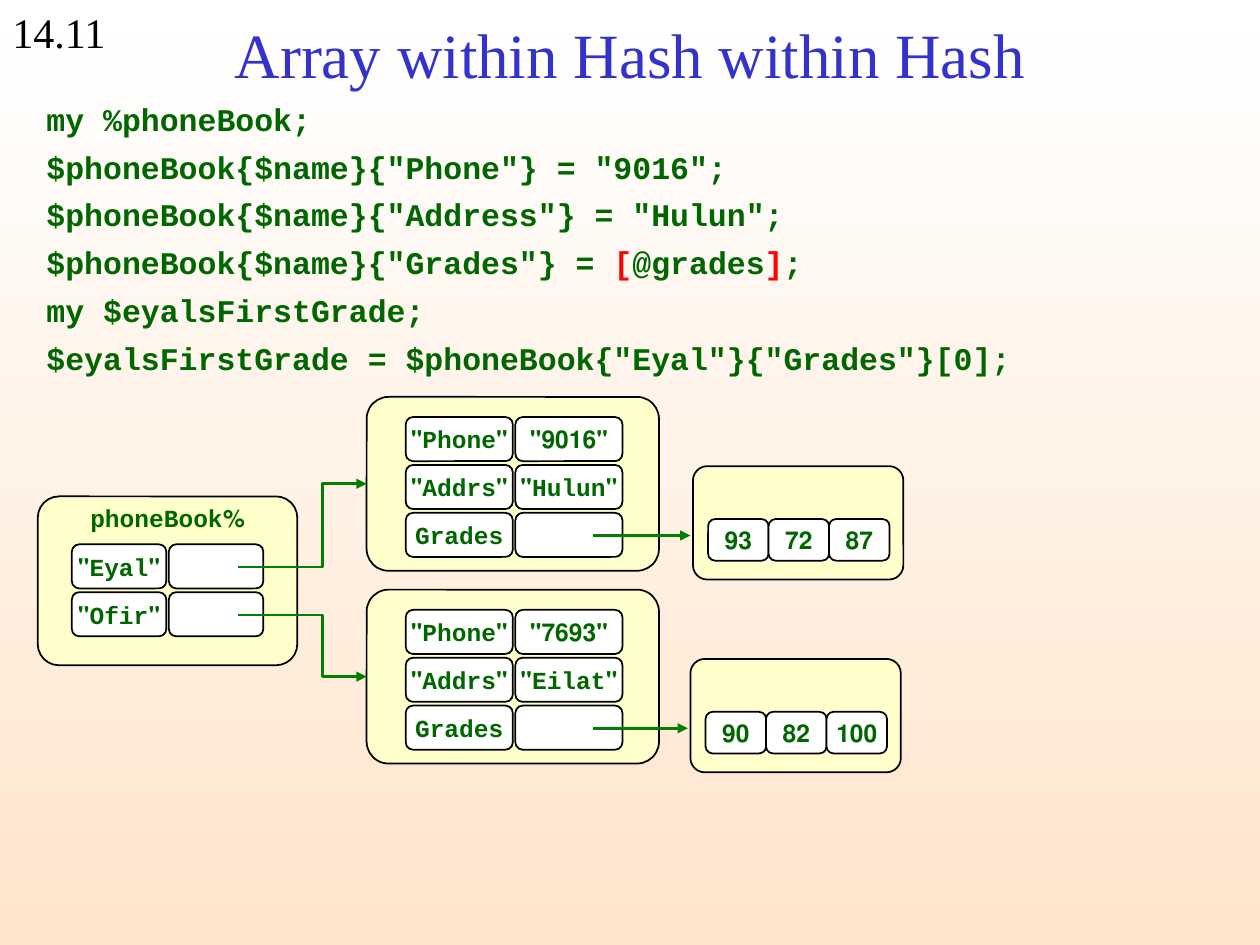
from lxml import etree
from pptx import Presentation
from pptx.dml.color import RGBColor
from pptx.enum.shapes import MSO_CONNECTOR as Link, MSO_SHAPE as Preset
from pptx.enum.text import MSO_ANCHOR as Anchor, PP_ALIGN as Align
from pptx.oxml.ns import qn
from pptx.util import Inches, Pt

COLORS = {
    "black": "000000", "white": "FFFFFF", "peach": "FFE5CD", "panel": "FFFFCC",
    "title": "3333CC", "code": "006600", "bracket": "FF0101", "arrow": "008000",
}
SERIF, MONO = "Times New Roman", "Courier New"

CODE = [
    [("my %phoneBook;", "code")],
    [('$phoneBook{$name}{"Phone"} = "9016";', "code")],
    [('$phoneBook{$name}{"Address"} = "Hulun";', "code")],
    [('$phoneBook{$name}{"Grades"} = ', "code"), ("[", "bracket"),
     ("@grades", "code"), ("]", "bracket"), (";", "code")],
    [("my $eyalsFirstGrade;", "code")],
    [('$eyalsFirstGrade = $phoneBook{"Eyal"}{"Grades"}[0];', "code")],
]
# name, record top, phone, address, grades, left of grades panel
RECORDS = [
    ('"Eyal"', 3.15, '"9016"', '"Hulun"', ("93", "72", "87"), 5.5),
    ('"Ofir"', 4.68, '"7693"', '"Eilat"', ("90", "82", "100"), 5.48),
]
ROW_STEP = 0.38


def rgb(name):
    return RGBColor.from_string(COLORS[name])


class SlideBuilder:
    """Holds the slide being drawn and its shared style."""

    def __init__(self, slide):
        self.slide = slide
        self.line_width = Pt(1)
        self.arrow_width = Pt(1.5)

    def background(self, top, bottom):
        fill = self.slide.background.fill
        fill.gradient()
        fill.gradient_angle = 270
        for stop, name, position in zip(fill.gradient_stops, (top, bottom), (0, 1)):
            stop.color.rgb = rgb(name)
            stop.position = position

    def add_runs(self, para, runs, size, font, bold):
        for text, color in runs:
            span = para.add_run()
            span.text = text
            span.font.size = Pt(size)
            span.font.name = font
            span.font.bold = bold
            span.font.color.rgb = rgb(color)

    def label(self, para, text):
        """Centred right-to-left diagram text."""
        para.alignment = Align.CENTER
        para._p.get_or_add_pPr().set("rtl", "1")
        self.add_runs(para, [(text, "code")], 14, MONO, True)

    def text_box(self, left, top, width, height):
        box = self.slide.shapes.add_textbox(
            Inches(left), Inches(top), Inches(width), Inches(height))
        box.text_frame.word_wrap = True
        return box.text_frame

    def rounded(self, left, top, width, height, fill, rounding):
        shape = self.slide.shapes.add_shape(
            Preset.ROUNDED_RECTANGLE,
            Inches(left), Inches(top), Inches(width), Inches(height))
        shape.adjustments[0] = rounding
        shape.shadow.inherit = False
        shape.fill.solid()
        shape.fill.fore_color.rgb = rgb(fill)
        shape.line.color.rgb = rgb("black")
        shape.line.width = self.line_width
        return shape

    def panel(self, left, top, width, height):
        self.rounded(left, top, width, height, "panel", 0.126)

    def cell(self, left, top, width, height, text=""):
        frame = self.rounded(left, top, width, height, "white", 0.167).text_frame
        if text:
            frame.word_wrap = False
            frame.vertical_anchor = Anchor.MIDDLE
            self.label(frame.paragraphs[0], text)

    def arrow(self, start, end, bend=None):
        """Arrow from start to end; bend is the share of its width before an elbow."""
        kind = Link.STRAIGHT if bend is None else Link.ELBOW
        link = self.slide.shapes.add_connector(
            kind, *(Inches(value) for value in start + end))
        link.line.color.rgb = rgb("arrow")
        link.line.width = self.arrow_width
        properties = link._element.spPr
        tail = etree.SubElement(properties.find(qn("a:ln")), qn("a:tailEnd"))
        tail.set("type", "triangle")
        etree.SubElement(properties, qn("a:effectLst"))
        if bend is not None:
            guides = properties.find(qn("a:prstGeom")).get_or_add_avLst()
            guide = etree.SubElement(guides, qn("a:gd"))
            guide.set("name", "adj1")
            guide.set("fmla", f"val {round(bend * 100000)}")


def add_heading(builder):
    frame = builder.text_box(0, 0, 1.14, 0.5)
    builder.add_runs(frame.paragraphs[0], [("14.11", "black")], 24, SERIF, False)

    frame = builder.text_box(0.75, 0.09, 8.5, 0.67)
    frame.vertical_anchor = Anchor.MIDDLE
    para = frame.paragraphs[0]
    para.alignment = Align.CENTER
    builder.add_runs(para, [("Array within Hash within Hash", "title")], 36, SERIF, False)


def add_code(builder):
    frame = builder.text_box(0.27, 0.63, 9.69, 4.1)
    frame.margin_top = Inches(0.08)
    for index, runs in enumerate(CODE):
        para = frame.add_paragraph() if index else frame.paragraphs[0]
        para.line_spacing = 1.27
        builder.add_runs(para, runs, 18, MONO, True)


def add_phone_book(builder):
    builder.panel(0.3, 3.94, 2.06, 1.34)
    builder.label(builder.text_box(0.18, 3.94, 2.3, 0.34).paragraphs[0], "%phoneBook")
    for index, (name, *_) in enumerate(RECORDS):
        top = 4.32 + index * ROW_STEP
        builder.cell(0.57, top, 0.75, 0.35, name)
        builder.cell(1.34, top, 0.75, 0.35)


def add_record(builder, index):
    name, top, phone, address, grades, grades_left = RECORDS[index]
    builder.panel(2.91, top, 2.32, 1.38)
    fields = [('"Phone"', phone), ('"Addrs"', address), ("Grades", "")]
    for row, (key, value) in enumerate(fields):
        row_top = top + 0.16 + row * ROW_STEP
        builder.cell(3.22, row_top, 0.85, 0.35, key)
        builder.cell(4.09, row_top, 0.85, 0.35, value)
    builder.arrow((1.89, 4.5 + index * ROW_STEP), (2.91, top + 0.69), 0.655)

    builder.panel(grades_left, top + 0.55, 1.67, 0.9)
    for column, grade in enumerate(grades):
        builder.cell(grades_left + 0.12 + column * 0.48, top + 0.97, 0.48, 0.33, grade)
    builder.arrow((4.71, top + 1.1), (grades_left - 0.02, top + 1.1))


def main():
    deck = Presentation()
    deck.slide_width, deck.slide_height = Inches(10), Inches(7.5)
    builder = SlideBuilder(deck.slides.add_slide(deck.slide_layouts[6]))
    builder.background("white", "peach")
    add_heading(builder)
    add_code(builder)
    add_phone_book(builder)
    for index in range(len(RECORDS)):
        add_record(builder, index)
    deck.save("out.pptx")


if __name__ == "__main__":
    main()
